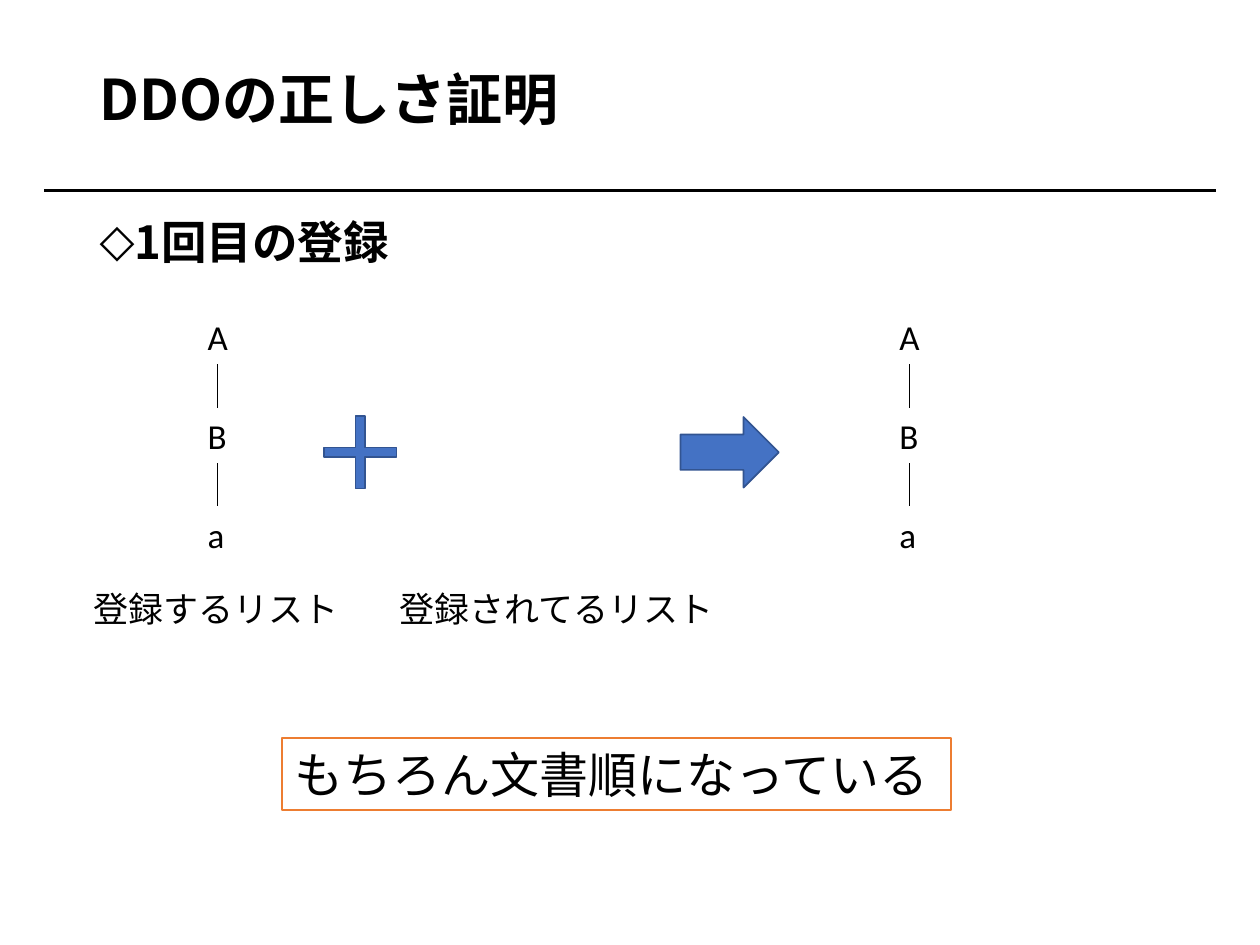
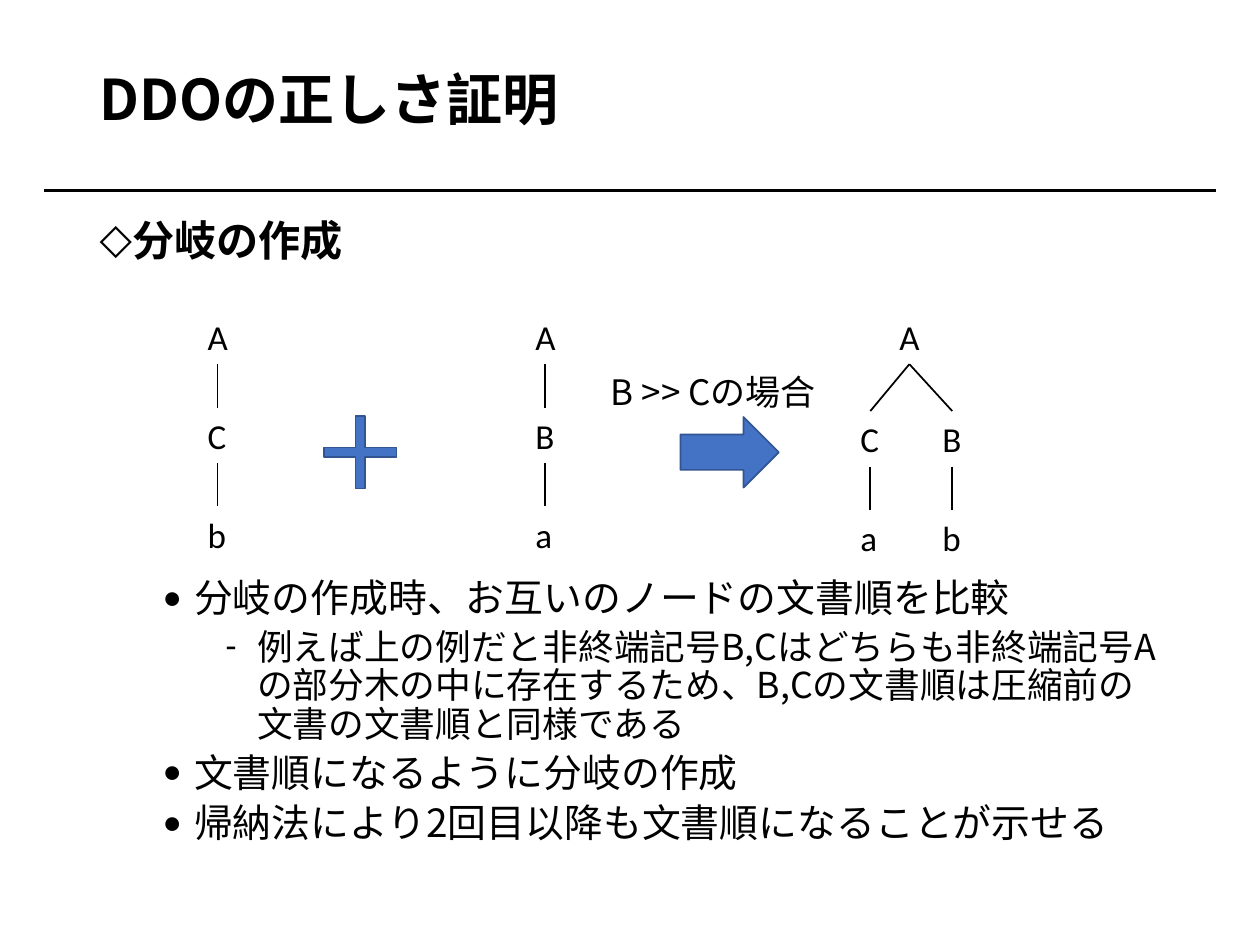
from dataclasses import dataclass

from lxml.etree import SubElement
from pptx import Presentation
from pptx.dml.color import RGBColor as Rgb
from pptx.enum.shapes import MSO_CONNECTOR as Link, MSO_SHAPE as Preset
from pptx.enum.text import MSO_ANCHOR as Anchor, MSO_AUTO_SIZE as Fit, PP_ALIGN as Align
from pptx.oxml.ns import qn
from pptx.util import Pt


@dataclass(frozen=True)
class Theme:
    ink: Rgb = Rgb(0, 0, 0)
    paper: Rgb = Rgb(255, 255, 255)
    blue: Rgb = Rgb(0x44, 0x72, 0xC4)
    blue_edge: Rgb = Rgb(0x32, 0x54, 0x91)
    orange: Rgb = Rgb(0xED, 0x7D, 0x31)
    japanese: str = "Noto Sans CJK JP"
    latin: str = "Calibri"
    title: float = 32
    label: float = 20
    result: float = 28
    leading: float = 1.08
    bullets: tuple = ("◇", "•", "-")
    space_before: tuple = (10, 5, 5)


THEME = Theme()


def write(paragraph, text, *, size=THEME.label, font=THEME.japanese, bold=False, color=THEME.ink):
    """Add one formatted run, with the same font for Latin and Japanese."""
    run = paragraph.add_run()
    run.text = text
    run.font.size, run.font.bold, run.font.name = Pt(size), bold, font
    run.font.color.rgb = color
    SubElement(run.font._element, qn("a:ea")).set("typeface", font)


class Deck:
    NODE_W, NODE_H, LEVEL_STEP, TREE_TOP = 25.5, 31.7, 56.5, 176.4

    def __init__(self, theme):
        self.theme = theme
        self.file = Presentation()
        self.file.slide_width, self.file.slide_height = Pt(720), Pt(540)

    def new_slide(self, title):
        """Start a slide with the shared title and rule."""
        self.slide = self.file.slides.add_slide(self.file.slide_layouts[1])
        self.line(self.slide.shapes, (25.2, 108.7), (694.8, 108.7), 1.5)
        heading = self.place(self.slide.shapes.title, 49.7, 21.6, 620.6, 73.4)
        frame = heading.text_frame
        frame.auto_size, frame.vertical_anchor = Fit.NONE, Anchor.MIDDLE
        paragraph = frame.paragraphs[0]
        paragraph.alignment, paragraph.line_spacing = Align.LEFT, 0.9
        write(paragraph, title, size=self.theme.title, bold=True)

    def place(self, shape, left, top, width, height):
        shape.left, shape.top = Pt(left), Pt(top)
        shape.width, shape.height = Pt(width), Pt(height)
        return shape

    def outline(self, items, sizes, diagram_gap=0):
        """Fill the body with (level, text) items; the gap follows the first."""
        body = self.place(self.slide.placeholders[1], 49.7, 121.7, 620.6, 364.3)
        frame = body.text_frame
        frame.auto_size, frame.vertical_anchor = Fit.NONE, Anchor.TOP
        for index, (level, text) in enumerate(items):
            paragraph = frame.paragraphs[0] if index == 0 else frame.add_paragraph()
            paragraph.level, paragraph.alignment = level, Align.LEFT
            paragraph.line_spacing = Pt(round(sizes[level] * self.theme.leading, 1))
            before = diagram_gap if index == 1 else self.theme.space_before[level]
            paragraph.space_before = Pt(before)
            properties = paragraph._p.get_or_add_pPr()
            properties.set("marL", str(Pt(18 + 36 * level)))
            properties.set("indent", str(Pt(-18)))
            SubElement(properties, qn("a:buFont")).set("typeface", self.theme.latin)
            SubElement(properties, qn("a:buChar")).set("char", self.theme.bullets[level])
            write(paragraph, text, size=sizes[level], bold=level == 0)

    def line(self, shapes, start, end, weight=1):
        ends = [Pt(value) for value in (*start, *end)]
        connector = shapes.add_connector(Link.STRAIGHT, *ends)
        connector.line.color.rgb, connector.line.width = self.theme.ink, Pt(weight)
        SubElement(connector._element.spPr, qn("a:effectLst"))

    def fill_line(self, shape, text, **style):
        """Put one unwrapped line of text in a box."""
        frame = shape.text_frame
        frame.word_wrap, frame.vertical_anchor = False, Anchor.MIDDLE
        frame.paragraphs[0].alignment = Align.LEFT
        write(frame.paragraphs[0], text, **style)

    def label(self, text, left, top, width, height=NODE_H, shapes=None, **style):
        box = (shapes or self.slide.shapes).add_textbox(*map(Pt, (left, top, width, height)))
        self.fill_line(box, text, **style)

    def shape(self, preset, left, top, width, height, fill, edge):
        shape = self.slide.shapes.add_shape(preset, *map(Pt, (left, top, width, height)))
        shape.shadow.inherit = False
        shape.fill.solid()
        shape.fill.fore_color.rgb = fill
        shape.line.color.rgb, shape.line.width = edge, Pt(1)
        return shape

    def tree(self, left, root, branches, drop=0):
        """Group a root with branches, given as {horizontal offset: node names}."""
        shapes = self.slide.shapes.add_group_shape().shapes

        def node(name, x, y):
            self.label(name, x, y, self.NODE_W, shapes=shapes, font=self.theme.latin)
            return x + self.NODE_W / 2, y

        root_x, root_y = node(root, left, self.TREE_TOP)
        for offset, names in branches.items():
            parent = root_x, root_y + self.NODE_H
            for level, name in enumerate(names, 1):
                x, y = node(name, left + offset, root_y + drop + level * self.LEVEL_STEP)
                self.line(shapes, parent, (x, y))
                parent = x, y + self.NODE_H

    def operators(self):
        """Plus sign and arrow between the trees."""
        colors = self.theme.blue, self.theme.blue_edge
        plus = self.shape(Preset.MATH_PLUS, 177.8, 230.4, 56.2, 56.2, *colors)
        plus.adjustments[0] = 0.099
        self.shape(Preset.RIGHT_ARROW, 388.8, 238.3, 56.2, 40.3, *colors)

    def result(self, text):
        box = self.shape(Preset.RECTANGLE, 161.3, 421.9, 382.3, 41,
                         self.theme.paper, self.theme.orange)
        self.fill_line(box, text, size=self.theme.result)


deck = Deck(THEME)
TITLE = "DDOの正しさ証明"
ADDED, REGISTERED, MERGED = 111.6, 298.8, 506.9  # left edges of the trees

# First registration
deck.new_slide(TITLE)
deck.outline([(0, "1回目の登録")], sizes=(26,))
deck.tree(ADDED, "A", {0: "Ba"})
deck.operators()
deck.tree(MERGED, "A", {0: "Ba"})
deck.label("登録するリスト", 46.1, 331.9, 156.2)
deck.label("登録されてるリスト", 221, 331.9, 196.6)
deck.result("もちろん文書順になっている")

# Making a branch
deck.new_slide(TITLE)
deck.outline([
    (0, "分岐の作成"),
    (1, "分岐の作成時、お互いのノードの文書順を比較"),
    (2, "例えば上の例だと非終端記号B,Cはどちらも非終端記号Aの部分木の中に存在するため、"
        "B,Cの文書順は圧縮前の文書の文書順と同様である"),
    (1, "文書順になるように分岐の作成"),
    (1, "帰納法により2回目以降も文書順になることが示せる"),
], sizes=(24.1, 22.2, 20.4), diagram_gap=179)
deck.tree(ADDED, "A", {0: "Cb"})
deck.operators()
deck.tree(REGISTERED, "A", {0: "Ba"})
deck.tree(MERGED, "A", {-22.3: "Ca", 24.5: "Bb"}, drop=2)
deck.label("B >> Cの場合", 342, 208.1, 139)

deck.file.save("out.pptx")
